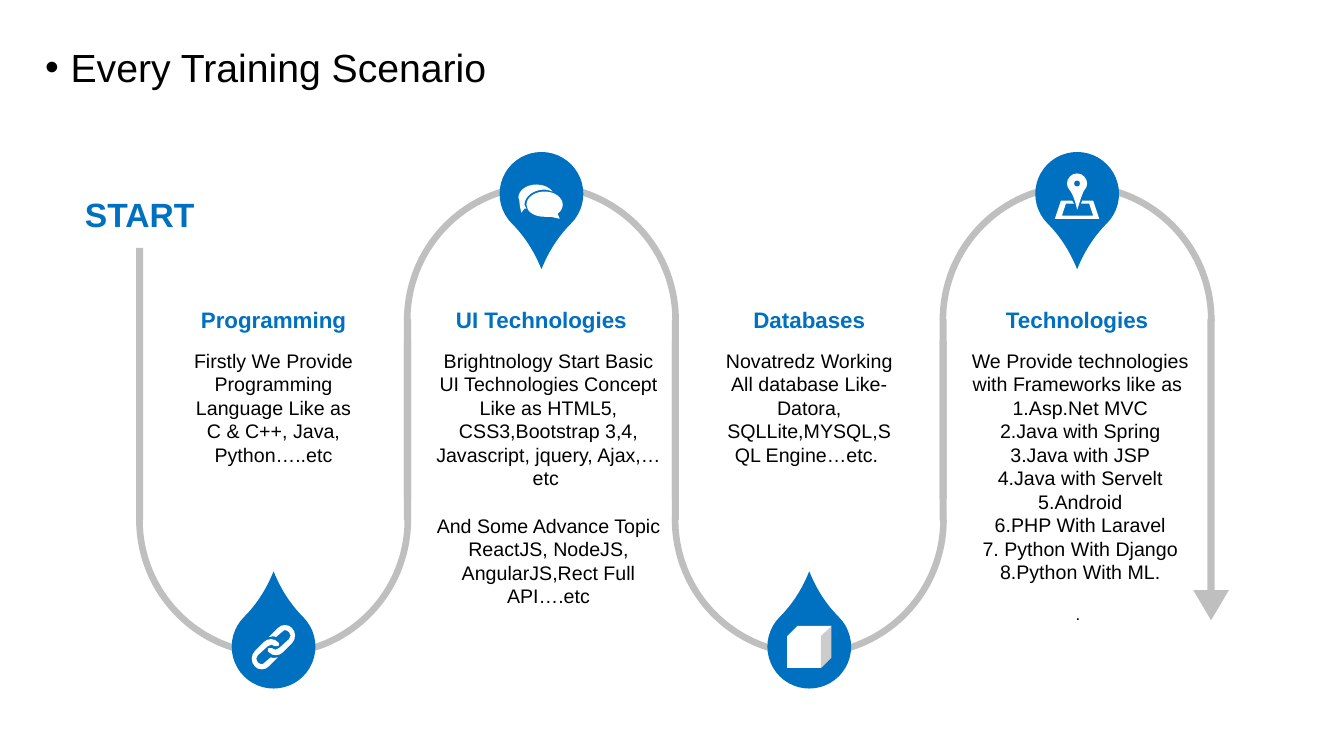
from lxml.etree import SubElement
from pptx import Presentation
from pptx.dml.color import RGBColor
from pptx.enum.shapes import MSO_SHAPE as Preset
from pptx.enum.text import MSO_ANCHOR as Anchor, MSO_AUTO_SIZE as AutoSize, PP_ALIGN as Align
from pptx.oxml.ns import qn
from pptx.util import Cm, Pt

BLUE = RGBColor(0x00, 0x70, 0xC0)
GREY = RGBColor(0xBF, 0xBF, 0xBF)
WHITE = RGBColor(0xFF, 0xFF, 0xFF)
BLACK = RGBColor(0x00, 0x00, 0x00)

FIRST_LANE, LANE_GAP, TRACK = 3.52, 6.75, 0.18
SHORT, LONG = 4.52, 6.86
PIN = 2.11
GRID = 2.54 / 100

CHAT = [
    [(26, 7), (36, 7, 44, 13, 44, 20), (44, 23, 42, 27, 39, 29), (41, 34), (32, 32),
     (31, 32, 28, 32, 26, 32), (16, 32, 8, 27, 8, 20), (8, 13, 16, 7, 26, 7)],
    [(18, 0), (25, 0, 31, 3, 34, 7), (31, 6, 29, 5, 26, 5), (15, 5, 6, 12, 6, 20),
     (6, 21, 7, 21, 7, 22), (8, 24), (6, 24), (3, 28), (2, 24, 1, 20, 1, 16),
     (0, 15, 0, 14, 0, 13), (0, 6, 8, 0, 18, 0)],
]
MAP = [
    [(6, 27), (17, 27), (18, 28, 18, 29, 19, 30), (11, 30), (7, 42), (38, 42), (34, 30),
     (26, 30), (26, 29, 27, 28, 27, 27), (38, 27), (44, 45), (0, 45)],
    [(22, 7), (20, 7, 19, 8, 19, 10), (19, 12, 20, 13, 22, 13), (24, 13, 25, 12, 25, 10),
     (25, 8, 24, 7, 22, 7)],
    [(22, 0), (25, 0, 27, 1, 29, 3), (33, 7, 33, 13, 29, 17), (26, 22, 23, 35, 22, 36),
     (22, 35, 19, 22, 15, 17), (11, 13, 11, 7, 15, 3), (17, 1, 19, 0, 22, 0)],
]
LINK = [(19, 14), (22, 14, 24, 15, 26, 17), (27, 17, 27, 18, 27, 18), (28, 21, 25, 22, 23, 21),
        (21, 19, 18, 19, 16, 21), (6, 30), (4, 32, 4, 35, 6, 37), (7, 38, 9, 39, 10, 39),
        (11, 39, 12, 38, 13, 37), (19, 32), (20, 33, 24, 33, 26, 32), (17, 41),
        (15, 43, 13, 44, 10, 44), (7, 44, 5, 43, 3, 41), (-1, 37, -1, 30, 3, 26), (12, 17),
        (14, 15, 16, 14, 19, 14)]
LINK_TURNED = [tuple((43, 44)[i % 2] - value for i, value in enumerate(part)) for part in LINK]

STAGES = [
    ("Programming", 0, 4.88, 3.25, 0,
     ["Firstly We Provide Programming Language Like as C & C++, Java, Python…..etc"]),
    ("UI Technologies", 0.18, 6.22, 7.34, 17,
     ["Brightnology Start Basic UI Technologies Concept Like as HTML5, CSS3,Bootstrap 3,4, "
      "Javascript, jquery, Ajax,…etc ",
      "And Some Advance Topic ReactJS, NodeJS, AngularJS,Rect Full API….etc"]),
    ("Databases", 0, 4.88, 3.25, 0,
     ["Novatredz Working All database Like- Datora, SQLLite,MYSQL,SQL Engine…etc. "]),
    ("Technologies", 0.08, 6.76, 7.26, 14,
     ["We Provide technologies with Frameworks like as ", "1.Asp.Net MVC", "2.Java with Spring",
      "3.Java with JSP", "4.Java with Servelt", "5.Android", "6.PHP With Laravel",
      "7. Python With Django", "8.Python With ML.", ". "]),
]


def lane(number):
    """Return the centre of a track lane in centimetres."""
    return FIRST_LANE + number * LANE_GAP


def paint(shape, color):
    """Give a shape a flat fill without line or shadow."""
    shape.shadow.inherit = False
    shape.fill.solid()
    shape.fill.fore_color.rgb = color
    shape.line.fill.background()


def add_preset(shapes, preset, left, top, width, height, color, turn=0, adjust=()):
    """Add a flat preset shape."""
    shape = shapes.add_shape(preset, Cm(left), Cm(top), Cm(width), Cm(height))
    for index, value in enumerate(adjust):
        shape.adjustments[index] = value
    shape.rotation = turn
    paint(shape, color)


def add_text(page, left, top, width, height, lines, size, color, bold=False, align=Align.CENTER):
    """Add a text box and return its frame."""
    frame = page.shapes.add_textbox(Cm(left), Cm(top), Cm(width), Cm(height)).text_frame
    frame.word_wrap = True
    for index, line in enumerate(lines):
        para = frame.paragraphs[0] if index == 0 else frame.add_paragraph()
        para.text = line
        para.alignment = align
        para.font.name = "Arial"
        para.font.size = Pt(size)
        para.font.bold = bold
        para.font.color.rgb = color
    return frame


def add_title(page, text):
    """Add the bulleted title."""
    frame = add_text(page, 0.89, 1.1, 32.16, 2.01, [text], 28, BLACK, align=Align.LEFT)
    para = frame.paragraphs[0]
    para.line_spacing = 0.9
    props = para._p.get_or_add_pPr()
    props.set("marL", str(Cm(0.64)))
    props.set("indent", str(-Cm(0.64)))
    for tag, name, value in (("a:buFont", "typeface", "Arial"), ("a:buChar", "char", "•")):
        bullet = SubElement(props, qn(tag))
        bullet.set(name, value)
        props.insert_element_before(bullet, "a:tabLst", "a:defRPr", "a:extLst")


def add_loop(page, number, left_length, right_length):
    """Add one bend of the track with its two straight sides."""
    shapes = page.shapes.add_group_shape().shapes
    upward = number % 2 == 1
    span = LANE_GAP + TRACK
    add_preset(shapes, Preset.BLOCK_ARC, lane(number) - TRACK / 2, 4.6 if upward else 9.63,
               span, span, GREY, 0 if upward else 180, (108, 0.356, 0.024))
    for side, length in enumerate((left_length, right_length)):
        top = 8.05 if upward else 13.11 - length
        add_preset(shapes, Preset.RECTANGLE, lane(number + side) - TRACK / 2, top,
                   TRACK, length, GREY)


def add_pin(page, number):
    """Add the drop-shaped marker of a bend."""
    top, turn = (3.83, 135) if number % 2 else (15.24, 315)
    add_preset(page.shapes, Preset.TEAR, lane(number + 0.5) - PIN / 2, top, PIN, PIN,
               BLUE, turn, (1.273,))


def add_stage(page, number, heading, shift, width, height, gap, lines):
    """Add the heading and the description of a bend."""
    center = lane(number + 0.5)
    title = add_text(page, center - 2.44, 7.59, 4.88, 0.94, [heading], 16, BLUE, True)
    body = add_text(page, center + shift - width / 2, 8.66, width, height, lines, 14, BLACK)
    for frame in (title, body):
        frame.auto_size = AutoSize.SHAPE_TO_FIT_TEXT
    last = body.paragraphs[-1]
    if gap:
        last.space_before = Pt(gap)
    if last.text == ". ":
        last.font.size = Pt(12)


def add_icon(page, left, top, contours):
    """Add a white outline drawn on the icon grid."""
    def place(part):
        """Return the points of a part in slide units."""
        return [(Cm(left + x * GRID), Cm(top + y * GRID)) for x, y in zip(part[::2], part[1::2])]

    builder = page.shapes.build_freeform(*place(contours[0][0])[0], scale=1.0)
    for index, contour in enumerate(contours):
        ends = [place(part)[-1] for part in contour]
        if index:
            builder.move_to(*ends[0])
        builder.add_line_segments(ends[1:], close=True)
    shape = builder.convert_to_shape()
    paint(shape, WHITE)
    parts = [part for contour in contours for part in contour[1:]]
    for segment, part in zip(list(shape._element.iter(qn("a:lnTo"))), parts):
        if len(part) == 6:
            curve = SubElement(segment.getparent(), qn("a:cubicBezTo"))
            for x, y in place(part):
                point = SubElement(curve, qn("a:pt"))
                point.set("x", str(x - shape.left))
                point.set("y", str(y - shape.top))
            segment.getparent().replace(segment, curve)


def main():
    """Build the slide and save it."""
    deck = Presentation()
    deck.slide_width, deck.slide_height = Cm(33.87), Cm(19.05)
    page = deck.slides.add_slide(deck.slide_layouts[6])
    add_title(page, "Every Training Scenario")
    for number in (1, 0, 2, 3):
        add_loop(page, number, LONG if number == 0 else SHORT, LONG if number == 3 else SHORT)
    for number in range(4):
        add_pin(page, number)
    start = add_text(page, lane(0) - 1.88, 4.83, 3.76, 1.12, ["START"], 24, BLUE, True)
    start.vertical_anchor = Anchor.MIDDLE
    add_preset(page.shapes, Preset.ISOSCELES_TRIANGLE, lane(4) - 0.45, 14.87, 0.9, 0.76, GREY, 180)
    for number, stage in enumerate(STAGES):
        add_stage(page, number, *stage)
    add_icon(page, lane(3.5) - 0.56, 4.37, MAP)
    add_icon(page, lane(1.5) - 0.58, 4.65, CHAT)
    add_icon(page, lane(0.5) - 0.55, 15.75, [LINK, LINK_TURNED])
    add_preset(page.shapes, Preset.CUBE, lane(2.5) - 0.56, 15.77, 1.12, 1.07, WHITE)
    deck.save("out.pptx")


if __name__ == "__main__":
    main()
